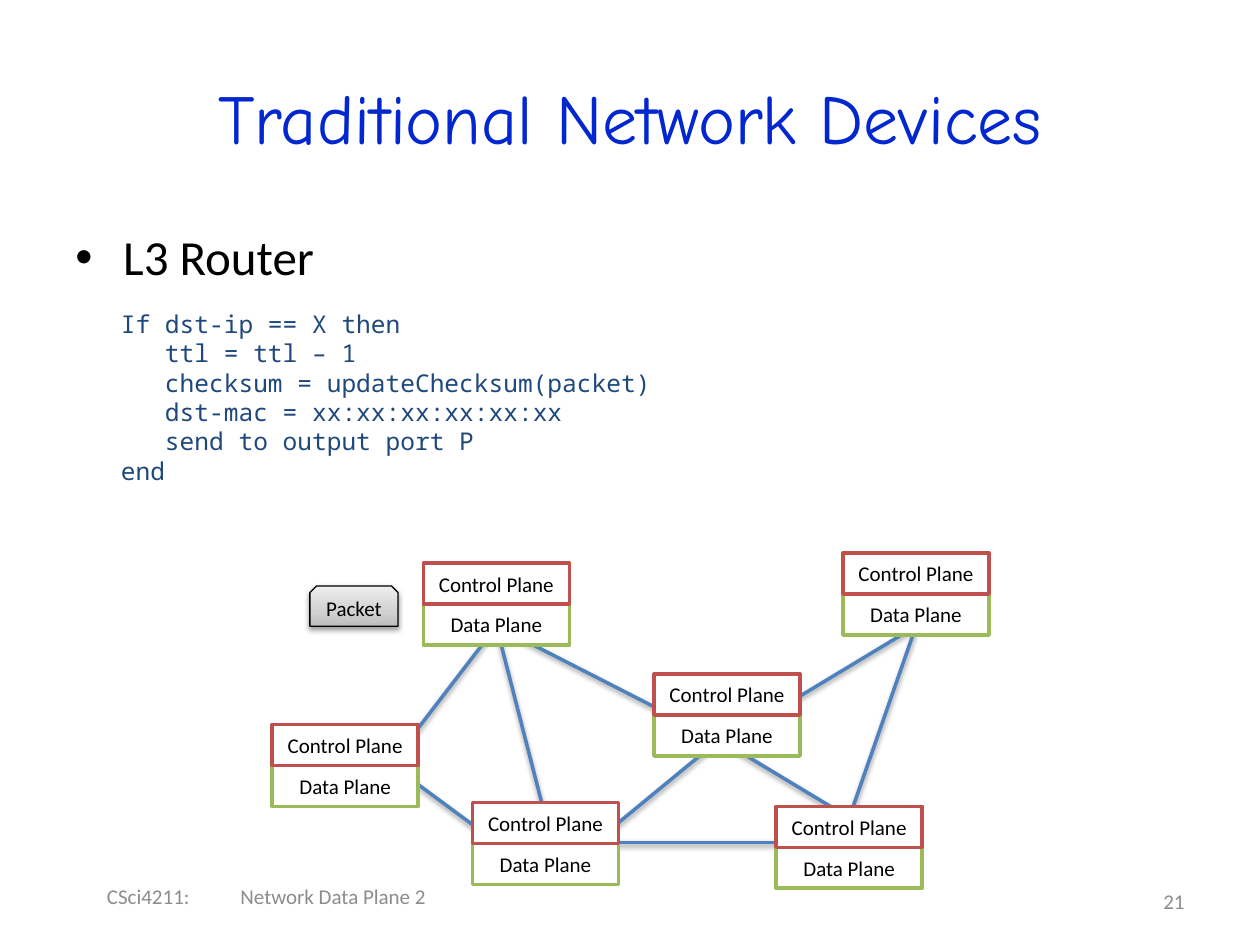
from typing import NamedTuple

from lxml.etree import SubElement
from copy import deepcopy
from pptx import Presentation
from pptx.dml.color import RGBColor
from pptx.enum.shapes import MSO_CONNECTOR as Connector, MSO_SHAPE as Shape
from pptx.enum.text import MSO_ANCHOR as Anchor, PP_ALIGN as Align
from pptx.oxml.ns import qn
from pptx.util import Inches, Pt

WHITE = RGBColor(0xFF, 0xFF, 0xFF)
BLACK = RGBColor(0x00, 0x00, 0x00)
TITLE_BLUE = RGBColor(0x02, 0x27, 0xCE)
CODE_BLUE = RGBColor(0x1F, 0x49, 0x7D)
LINK_BLUE = RGBColor(0x4F, 0x81, 0xBD)
DATA_GREEN = RGBColor(0x9B, 0xBB, 0x59)
CONTROL_RED = RGBColor(0xC0, 0x50, 0x4D)
FOOTER_GRAY = RGBColor(0x8C, 0x8C, 0x8C)
PACKET_GRAYS = (
    (0, RGBColor(0xBD, 0xBD, 0xBD)),
    (0.35, RGBColor(0xD1, 0xD1, 0xD1)),
    (1, RGBColor(0xEE, 0xEE, 0xEE)),
)

PLANE_WIDTH, PLANE_HEIGHT = 1.16, 0.325
HUB_WIDTH, HUB_HEIGHT = 0.78, 0.39
CODE_INDENT = 0.35


class Device(NamedTuple):
    """Top left of the stacked planes, and of the hub area where links meet."""
    left: float
    top: float
    hub_left: float
    hub_top: float

    def port(self, side: str) -> tuple[float, float]:
        across, down = {"top": (0.5, 0), "left": (0, 0.5),
                        "bottom": (0.5, 1), "right": (1, 0.5)}[side]
        return self.hub_left + across * HUB_WIDTH, self.hub_top + down * HUB_HEIGHT


class Link(NamedTuple):
    start: Device
    start_side: str
    end: Device
    end_side: str


WEST = Device(2.16, 5.75, 2.32, 5.87)
NORTH_WEST = Device(3.36, 4.47, 3.55, 4.58)
NORTH_EAST = Device(6.69, 4.39, 6.88, 4.58)
SOUTH_WEST = Device(3.75, 6.37, 3.94, 6.49)
CENTER = Device(5.19, 5.35, 5.32, 5.48)
SOUTH_EAST = Device(6.16, 6.4, 6.35, 6.49)
DEVICES = (WEST, NORTH_WEST, NORTH_EAST, SOUTH_WEST, CENTER, SOUTH_EAST)

LINKS = (
    Link(WEST, "right", NORTH_WEST, "bottom"),
    Link(SOUTH_WEST, "top", NORTH_WEST, "bottom"),
    Link(CENTER, "bottom", SOUTH_EAST, "top"),
    Link(CENTER, "right", NORTH_EAST, "bottom"),
    Link(SOUTH_WEST, "left", WEST, "right"),
    Link(NORTH_WEST, "bottom", CENTER, "left"),
    Link(SOUTH_WEST, "right", CENTER, "bottom"),
    Link(SOUTH_EAST, "top", NORTH_EAST, "bottom"),
    Link(SOUTH_WEST, "right", SOUTH_EAST, "left"),
)

# Indent level and text of each line
ROUTER_CODE = (
    (0, "If dst-ip == X then"),
    (1, "ttl = ttl – 1"),
    (1, "checksum = updateChecksum(packet)"),
    (1, "dst-mac = xx:xx:xx:xx:xx:xx"),
    (1, "send to output port P"),
    (0, "end"),
)


def set_font(paragraph, size: float, color: RGBColor, name: str = "Calibri") -> None:
    font = paragraph.font
    font.size, font.name, font.color.rgb = Pt(size), name, color


def add_text(slide, box, text: str, size: float, color: RGBColor,
             name: str = "Calibri", align=Align.LEFT, anchor=Anchor.MIDDLE):
    frame = slide.shapes.add_textbox(*map(Inches, box)).text_frame
    frame.word_wrap = True
    frame.vertical_anchor = anchor
    paragraph = frame.paragraphs[0]
    paragraph.text, paragraph.alignment = text, align
    set_font(paragraph, size, color, name)
    return paragraph


def add_box(slide, kind, box, line_color: RGBColor, line_width: float, label: str = ""):
    """White box without shadow, with a centred label."""
    shape = slide.shapes.add_shape(kind, *map(Inches, box))
    shape.shadow.inherit = False
    shape.fill.solid()
    shape.fill.fore_color.rgb = WHITE
    shape.line.color.rgb = line_color
    shape.line.width = Pt(line_width)
    if label:
        shape.text_frame.word_wrap = False
        shape.text_frame.vertical_anchor = Anchor.MIDDLE
        paragraph = shape.text_frame.paragraphs[0]
        paragraph.text, paragraph.alignment = label, Align.CENTER
        set_font(paragraph, 12, BLACK)
    return shape


def add_shadow(properties) -> None:
    effects = properties.find(qn("a:effectLst"))
    if effects is None:
        effects = SubElement(properties, qn("a:effectLst"))
    shadow = SubElement(effects, qn("a:outerShdw"), blurRad=str(Pt(3.1)),
                        dist=str(Pt(1.6)), dir="5400000", rotWithShape="0")
    color = SubElement(shadow, qn("a:srgbClr"), val=str(BLACK))
    SubElement(color, qn("a:alpha"), val="38000")


def add_link(slide, link: Link) -> None:
    ends = link.start.port(link.start_side) + link.end.port(link.end_side)
    line = slide.shapes.add_connector(Connector.STRAIGHT, *map(Inches, ends))
    line.line.color.rgb = LINK_BLUE
    line.line.width = Pt(2)
    add_shadow(line._element.spPr)


def add_device(slide, device: Device) -> None:
    planes = ((1, "Data Plane", DATA_GREEN), (0, "Control Plane", CONTROL_RED))
    for row, label, color in planes:
        box = (device.left, device.top + row * PLANE_HEIGHT, PLANE_WIDTH, PLANE_HEIGHT)
        add_box(slide, Shape.RECTANGLE, box, color, 2, label)


def add_packet(slide) -> None:
    packet = add_box(slide, Shape.SNIP_2_SAME_RECTANGLE, (2.46, 4.65, 0.7, 0.32),
                     BLACK, 0.75, "Packet")
    packet.fill.gradient()
    packet.fill.gradient_angle = 90
    stop_list = packet._element.spPr.find(qn("a:gradFill")).find(qn("a:gsLst"))
    stop_list.insert(1, deepcopy(stop_list[0]))
    for stop, (position, gray) in zip(packet.fill.gradient_stops, PACKET_GRAYS):
        stop.position, stop.color.rgb = position, gray
    add_shadow(packet._element.spPr)


def add_heading(slide) -> None:
    add_text(slide, (0.5, 0.3, 9, 1.25), "Traditional Network Devices", 40,
             TITLE_BLUE, "Comic Neue", Align.CENTER)
    topic = add_text(slide, (0.5, 1.75, 9, 0.65), "L3 Router", 28, BLACK,
                     anchor=Anchor.TOP)
    topic.space_before = Pt(5.6)
    properties = topic._p.get_or_add_pPr()
    properties.set("marL", str(Inches(0.38)))
    properties.set("indent", str(Inches(-0.38)))
    bullet_font = SubElement(properties, qn("a:buFont"), typeface="Arial")
    bullet_font.addnext(properties.makeelement(qn("a:buChar"), {"char": "•"}))
    # Default run properties come after the bullet
    properties.append(properties.find(qn("a:defRPr")))


def add_code(slide) -> None:
    frame = add_box(slide, Shape.RECTANGLE, (0.96, 2.45, 4.23, 1.41), WHITE, 1).text_frame
    frame.margin_left = frame.margin_top = frame.margin_right = frame.margin_bottom = 0
    frame.vertical_anchor = Anchor.TOP
    frame.word_wrap = True
    for number, (level, text) in enumerate(ROUTER_CODE):
        paragraph = frame.add_paragraph() if number else frame.paragraphs[0]
        paragraph.text, paragraph.alignment = text, Align.LEFT
        set_font(paragraph, 14, CODE_BLUE, "Noto Sans Mono")
        paragraph._p.get_or_add_pPr().set("marL", str(Inches(level * CODE_INDENT)))


def add_footer(slide) -> None:
    add_text(slide, (7.17, 6.95, 2.33, 0.4), "21", 12, FOOTER_GRAY, align=Align.RIGHT)
    course = add_text(slide, (0.75, 6.95, 3.92, 0.33), "CSci4211:\tNetwork Data Plane 2",
                      12, FOOTER_GRAY)
    properties = course._p.get_or_add_pPr()
    tabs = SubElement(properties, qn("a:tabLst"))
    SubElement(tabs, qn("a:tab"), pos=str(Inches(1.06)), algn="l")
    properties.append(properties.find(qn("a:defRPr")))


def main() -> None:
    deck = Presentation()
    deck.slide_width, deck.slide_height = Inches(10), Inches(7.5)
    slide = deck.slides.add_slide(deck.slide_layouts[6])
    add_heading(slide)
    add_code(slide)
    for link in LINKS:
        add_link(slide, link)
    for device in DEVICES:
        add_device(slide, device)
    add_packet(slide)
    add_footer(slide)
    deck.save("out.pptx")


if __name__ == "__main__":
    main()
